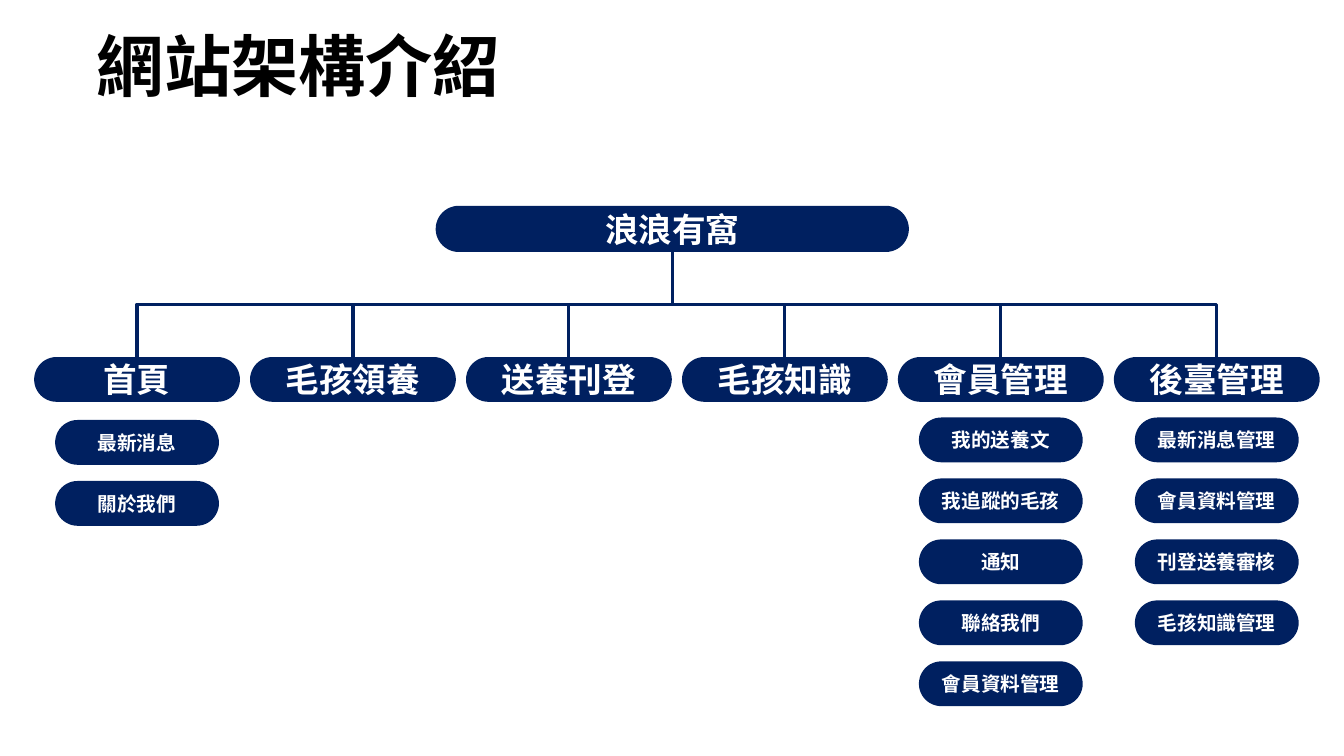
from dataclasses import dataclass

from lxml import etree
from pptx import Presentation
from pptx.dml.color import RGBColor
from pptx.enum.shapes import MSO_CONNECTOR, MSO_SHAPE
from pptx.enum.text import MSO_ANCHOR, MSO_AUTO_SIZE, PP_ALIGN
from pptx.oxml.ns import qn
from pptx.shapes.autoshape import Shape
from pptx.slide import Slide
from pptx.text.text import _Paragraph as Paragraph
from pptx.util import Pt

ROUNDED = MSO_SHAPE.ROUNDED_RECTANGLE
ELBOW = MSO_CONNECTOR.ELBOW
MIDDLE, TOP = MSO_ANCHOR.MIDDLE, MSO_ANCHOR.TOP
CENTER, LEFT = PP_ALIGN.CENTER, PP_ALIGN.LEFT
TOP_SITE, BOTTOM_SITE = 0, 2

FONT = "Noto Sans CJK SC"
NAVY, WHITE, BLACK = "002060", "FFFFFF", "000000"

PILL_HEIGHT = 32
ROOT_CENTER, ROOT_TOP, ROOT_WIDTH = 480.2, 147.5, 337
SECTION_CENTER, SECTION_PITCH = 97.9, 154.25
SECTION_TOP, SECTION_WIDTH = 255, 147
PAGE_WIDTH, PAGE_PITCH = 117, 43.55


@dataclass(frozen=True)
class Section:
    name: str
    pages: tuple[str, ...] = ()
    pages_top: float = 298.2


SECTIONS = [
    Section("首頁", ("最新消息", "關於我們"), 300),
    Section("毛孩領養"),
    Section("送養刊登"),
    Section("毛孩知識"),
    Section("會員管理", ("我的送養文", "我追蹤的毛孩", "通知", "聯絡我們", "會員資料管理")),
    Section("後臺管理", ("最新消息管理", "會員資料管理", "刊登送養審核", "毛孩知識管理")),
]


def color(hex_value: str) -> RGBColor:
    return RGBColor.from_string(hex_value)


def format_paragraph(paragraph: Paragraph, size: float, hex_value: str, alignment: PP_ALIGN) -> None:
    paragraph.alignment = alignment
    font = paragraph.font
    font.size, font.bold, font.name = Pt(size), True, FONT
    font.color.rgb = color(hex_value)
    latin = font._element.find(qn("a:latin"))
    east_asian = etree.Element(qn("a:ea"), typeface=FONT)
    latin.addnext(east_asian)


def add_title(slide: Slide, text: str) -> None:
    title = slide.shapes.title
    title.left, title.top, title.width, title.height = Pt(62), Pt(20), Pt(898), Pt(65.5)
    frame = title.text_frame
    frame.text = text
    frame.vertical_anchor = TOP
    frame.auto_size = MSO_AUTO_SIZE.SHAPE_TO_FIT_TEXT
    frame.paragraphs[0].line_spacing = 0.9
    format_paragraph(frame.paragraphs[0], 48, BLACK, LEFT)


def add_pill(slide: Slide, text: str, center: float, top: float, width: float, size: float) -> Shape:
    pill = slide.shapes.add_shape(
        ROUNDED, Pt(center - width / 2), Pt(top), Pt(width), Pt(PILL_HEIGHT)
    )
    pill.adjustments[0] = 0.5
    pill.shadow.inherit = False
    pill.fill.solid()
    pill.fill.fore_color.rgb = color(NAVY)
    pill.line.fill.background()
    frame = pill.text_frame
    frame.word_wrap = True
    frame.vertical_anchor = MIDDLE
    frame.text = text
    format_paragraph(frame.paragraphs[0], size, WHITE, CENTER)
    return pill


def add_branch(slide: Slide, parent: Shape, child: Shape) -> None:
    """Join parent to child with an elbow turned to leave downwards."""
    start_x, start_y = parent.left + parent.width // 2, parent.top + parent.height
    end_x, end_y = child.left + child.width // 2, child.top
    branch = slide.shapes.add_connector(ELBOW, start_x, start_y, end_x, end_y)
    branch.begin_connect(parent, BOTTOM_SITE)
    branch.end_connect(child, TOP_SITE)

    drop, reach = end_y - start_y, abs(end_x - start_x)
    branch.left = (start_x + end_x - drop) // 2
    branch.top = (start_y + end_y - reach) // 2
    branch.width, branch.height = drop, reach
    goes_right = end_x > start_x
    transform = branch._element.spPr.find(qn("a:xfrm"))
    transform.set("rot", str((270 if goes_right else 90) * 60000))
    transform.set("flipH", "1" if goes_right else "0")

    branch.line.color.rgb = color(NAVY)
    branch.line.width = Pt(2.25)
    etree.SubElement(branch._element.spPr, qn("a:effectLst"))


def main() -> None:
    presentation = Presentation()
    presentation.slide_width, presentation.slide_height = Pt(960), Pt(540)
    slide = presentation.slides.add_slide(presentation.slide_layouts.get_by_name("Title Only"))
    add_title(slide, "網站架構介紹")

    root = add_pill(slide, "浪浪有窩", ROOT_CENTER, ROOT_TOP, ROOT_WIDTH, 24)
    root.line.color.rgb = color(NAVY)
    root.line.width = Pt(1)

    for column, section in enumerate(SECTIONS):
        center = SECTION_CENTER + column * SECTION_PITCH
        heading = add_pill(slide, section.name, center, SECTION_TOP, SECTION_WIDTH, 24)
        add_branch(slide, root, heading)
        for row, page in enumerate(section.pages):
            add_pill(slide, page, center, section.pages_top + row * PAGE_PITCH, PAGE_WIDTH, 14)

    presentation.save("out.pptx")


if __name__ == "__main__":
    main()
